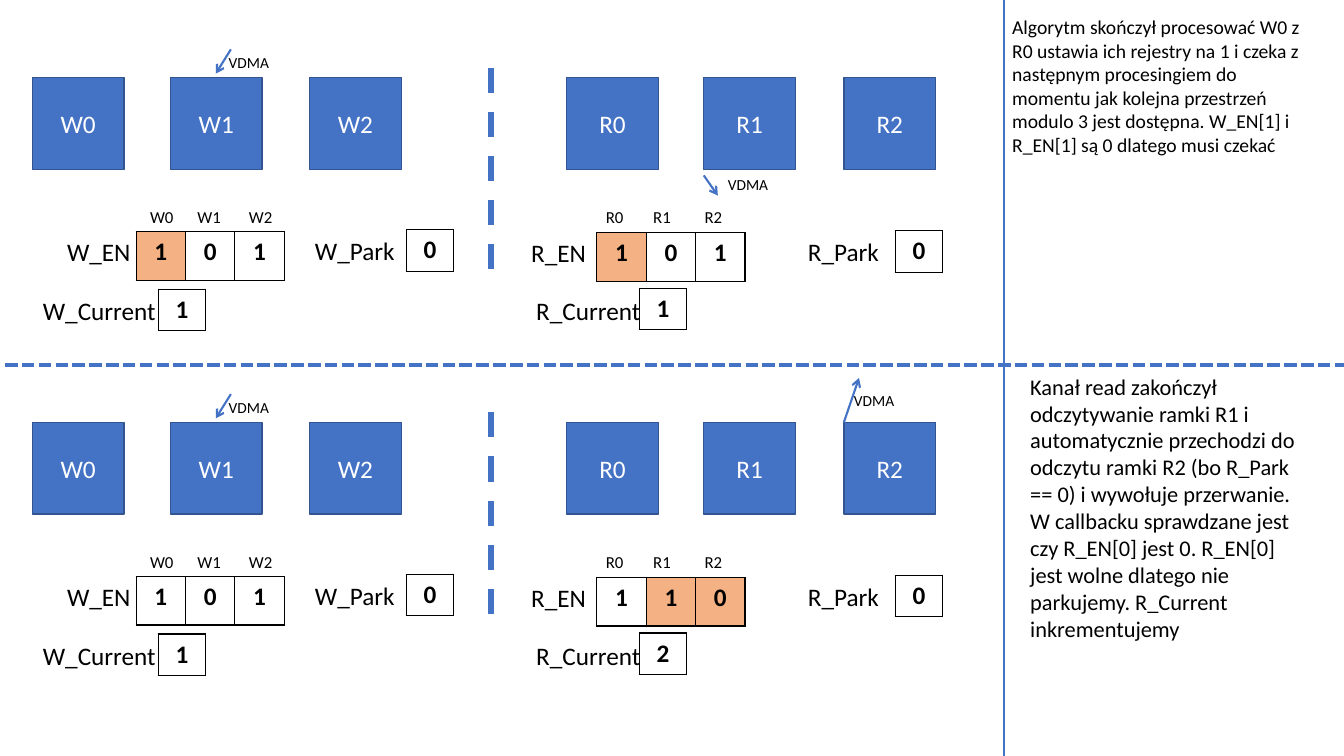
from pptx import Presentation
from pptx.dml.color import RGBColor
from pptx.enum.dml import MSO_LINE
from pptx.enum.shapes import MSO_CONNECTOR, MSO_SHAPE
from pptx.enum.text import MSO_ANCHOR, MSO_AUTO_SIZE, PP_ALIGN
from pptx.oxml import parse_xml
from pptx.oxml.ns import nsdecls
from pptx.util import Inches, Pt

BLUE = RGBColor(0x44, 0x72, 0xC4)
DARK_BLUE = RGBColor(0x32, 0x54, 0x91)
ORANGE = RGBColor(0xF4, 0xB1, 0x83)
BLACK = RGBColor(0, 0, 0)
WHITE = RGBColor(0xFF, 0xFF, 0xFF)
LEFT, CENTER = PP_ALIGN.LEFT, PP_ALIGN.CENTER
MIDDLE = MSO_ANCHOR.MIDDLE
FIT = MSO_AUTO_SIZE.SHAPE_TO_FIT_TEXT
RECT = MSO_SHAPE.RECTANGLE
STRAIGHT = MSO_CONNECTOR.STRAIGHT
DASH, SHORT_DASH = MSO_LINE.DASH, MSO_LINE.SQUARE_DOT


class Canvas:
    font = "Calibri"

    def __init__(self, slide):
        self.shapes = slide.shapes

    def set_text(self, tf, text, size, color=BLACK, align=LEFT, bold=False):
        tf.text = text
        p = tf.paragraphs[0]
        p.alignment = align
        f = p.runs[0].font
        f.name, f.size, f.bold = self.font, Pt(size), bold
        f.color.rgb = color

    def text(self, x, y, w, h, text, size, align=LEFT, wrap=False):
        s = self.shapes.add_textbox(Inches(x), Inches(y), Inches(w), Inches(h))
        tf = s.text_frame
        tf.word_wrap = wrap
        tf.auto_size = FIT
        self.set_text(tf, text, size, align=align)

    def box(self, x, y, side, text):
        s = self.shapes.add_shape(RECT, Inches(x), Inches(y), Inches(side), Inches(side))
        s.shadow.inherit = False
        s.fill.solid()
        s.fill.fore_color.rgb = BLUE
        s.line.color.rgb = DARK_BLUE
        s.line.width = Pt(1)
        s.text_frame.vertical_anchor = MIDDLE
        self.set_text(s.text_frame, text, 18, WHITE, CENTER)

    def line(self, x1, y1, x2, y2, width=1.5, dash=None, arrow=False):
        c = self.shapes.add_connector(STRAIGHT, Inches(x1), Inches(y1), Inches(x2), Inches(y2))
        c.line.color.rgb = BLUE
        c.line.width = Pt(width)
        if dash:
            c.line.dash_style = dash
        spPr = c._element.spPr
        if arrow:
            spPr.ln.append(parse_xml(f'<a:tailEnd {nsdecls("a")} type="arrow"/>'))
        spPr.append(parse_xml(f'<a:effectLst {nsdecls("a")}/>'))

    def cells(self, x, y, w, h, values, marked=()):
        frame = self.shapes.add_table(1, len(values), Inches(x), Inches(y),
                                      Inches(w * len(values)), Inches(h))
        table = frame.table
        table.first_row = table.horz_banding = False
        table.rows[0].height = Inches(h)
        for i, value in enumerate(values):
            table.columns[i].width = Inches(w)
            cell = table.cell(0, i)
            cell.fill.solid()
            cell.fill.fore_color.rgb = ORANGE if i in marked else WHITE
            self.set_text(cell.text_frame, value, 18, align=CENTER, bold=True)
            tcPr = cell._tc.get_or_add_tcPr()
            for k, edge in enumerate("LRTB"):
                tcPr.insert(k, parse_xml(
                    f'<a:ln{edge} {nsdecls("a")} w="12700"><a:solidFill>'
                    f'<a:srgbClr val="{BLACK}"/></a:solidFill></a:ln{edge}>'))

    def vdma(self, arrow, x, y):
        self.line(*arrow, arrow=True)
        self.text(x, y, 0.61, 0.29, "VDMA", 11)


CHANNELS = {
    "W": dict(frames=(0.32, 1.69, 3.07), flags=(1.39, 1.86, 2.37),
              en=(0.56, 2.3, 0.84, CENTER), en_cells=(1.35, 2.3),
              park=(3.02, 2.29, 1), park_cell=(4.03, 2.28),
              current=(0.32, 2.88, 1.33), current_cell=(1.57, 2.87)),
    "R": dict(frames=(5.62, 6.98, 8.37), flags=(5.91, 6.38, 6.89),
              en=(5.17, 2.31, 0.75, LEFT), en_cells=(5.92, 2.31),
              park=(7.91, 2.3, 0.91), park_cell=(8.88, 2.29),
              current=(5.21, 2.88, 1.25), current_cell=(6.34, 2.86)),
}
PANEL_STEP = 3.42
STATES = [
    {"W": ("101", (0,), "1"), "R": ("101", (0,), "1")},
    {"W": ("101", (), "1"), "R": ("110", (1, 2), "2")},
]


def draw_channel(cv, name, dy, enabled, marked, current):
    ch = CHANNELS[name]
    for i, (frame_x, flag_x) in enumerate(zip(ch["frames"], ch["flags"])):
        cv.box(frame_x, 0.77 + dy, 0.91, f"{name}{i}")
        cv.text(flag_x, 2 + dy, 0.55, 0.3, f"{name}{i}", 12, wrap=True)
    x, y, w, align = ch["en"]
    cv.text(x, y + dy, w, 0.4, f"{name}_EN", 18, align)
    x, y = ch["en_cells"]
    cv.cells(x, y + dy, 0.49, 0.48, enabled, marked)
    for key, label, value in (("park", "Park", "0"), ("current", "Current", current)):
        x, y, w = ch[key]
        cv.text(x, y + dy, w, 0.4, f"{name}_{label}", 18, CENTER)
        x, y = ch[f"{key}_cell"]
        cv.cells(x, y + dy, 0.47, 0.41, value)


prs = Presentation()
prs.slide_width, prs.slide_height = Inches(13.33), Inches(7.5)
cv = Canvas(prs.slides.add_slide(prs.slide_layouts[6]))

cv.line(9.96, 0, 9.96, 7.5)
cv.line(0.05, 3.62, 13.33, 3.62, 3, SHORT_DASH)

for row, state in enumerate(STATES):
    dy = row * PANEL_STEP
    cv.line(4.87, 0.67 + dy, 4.87, 2.7 + dy, 4.5, DASH)
    for name, values in state.items():
        draw_channel(cv, name, dy, *values)
    cv.vdma((2.29, 0.49 + dy, 2.14, 0.73 + dy), 2.17, 0.48 + dy)

cv.vdma((6.98, 1.74, 7.12, 1.94), 7.12, 1.69)
cv.vdma((8.37, 4.19, 8.52, 3.75), 8.37, 3.83)

cv.text(9.94, 0.1, 3.21, 1.51,
        "Algorytm skończył procesować W0 z R0 ustawia ich rejestry na 1 i czeka z "
        "następnym procesingiem do momentu jak kolejna przestrzeń modulo 3 jest dostępna. "
        "W_EN[1] i R_EN[1] są 0 dlatego musi czekać", 14, wrap=True)
cv.text(10.12, 3.65, 2.93, 2.79,
        "Kanał read zakończył odczytywanie ramki R1 i automatycznie przechodzi do odczytu "
        "ramki R2 (bo R_Park == 0) i wywołuje przerwanie. W callbacku sprawdzane jest czy "
        "R_EN[0] jest 0. R_EN[0] jest wolne dlatego nie parkujemy. R_Current inkrementujemy",
        16, wrap=True)

prs.save("out.pptx")
